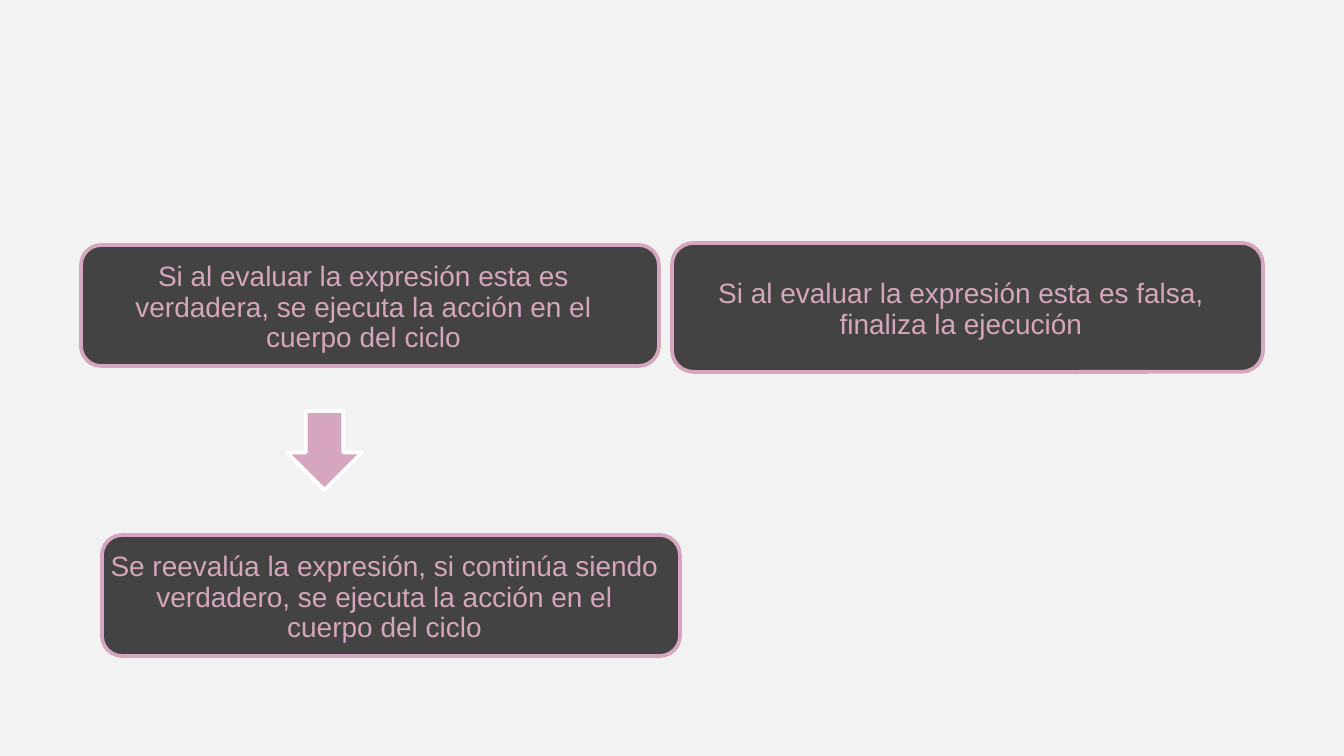
import dataclasses

import pptx
import pptx.dml.color
import pptx.enum.shapes
import pptx.enum.text
import pptx.util

PX = 914400 / 134.4
BACKGROUND, DARK, PINK, WHITE = "F2F2F2", "434343", "D5A6BD", "FFFFFF"
INSET = 8
SHAPES = pptx.enum.shapes.MSO_SHAPE


@dataclasses.dataclass(frozen=True)
class Step:
    x: int
    y: int
    w: int
    h: int
    text: str


STEPS = [
    Step(672, 243, 591, 129,
         "Si al evaluar la expresión esta es falsa, finaliza la ejecución"),
    Step(81, 245, 578, 121,
         "Si al evaluar la expresión esta es verdadera, "
         "se ejecuta la acción en el cuerpo del ciclo"),
    Step(102, 535, 578, 121,
         "Se reevalúa la expresión, si continúa siendo verdadero, "
         "se ejecuta la acción en el cuerpo del ciclo"),
]


def px(n: int) -> int:
    return round(n * PX)


def rgb(color: str) -> pptx.dml.color.RGBColor:
    return pptx.dml.color.RGBColor.from_string(color)


def set_all(target, values: dict) -> None:
    for name, value in values.items():
        setattr(target, name, value)


def add_outlined(shapes, kind, x: int, y: int, w: int, h: int, fill: str, line: str):
    sp = shapes.add_shape(kind, px(x), px(y), px(w), px(h))
    sp.shadow.inherit = False
    sp.fill.solid()
    sp.fill.fore_color.rgb = rgb(fill)
    sp.line.color.rgb = rgb(line)
    sp.line.width = pptx.util.Pt(2)
    return sp


def add_step(shapes, step: Step) -> None:
    """Group a rounded box with its text, set slightly inside the box."""
    group = shapes.add_group_shape().shapes
    add_outlined(group, SHAPES.ROUNDED_RECTANGLE,
                 step.x, step.y, step.w, step.h, DARK, PINK)
    tf = group.add_textbox(px(step.x), px(step.y + 8),
                           px(step.w - 13), px(step.h - 11)).text_frame
    set_all(tf, {
        "word_wrap": True,
        "vertical_anchor": pptx.enum.text.MSO_ANCHOR.MIDDLE,
        "margin_left": px(INSET),
        "margin_right": px(INSET),
        "margin_top": px(INSET),
        "margin_bottom": px(INSET),
    })
    p = tf.paragraphs[0]
    set_all(p, {"alignment": pptx.enum.text.PP_ALIGN.CENTER, "line_spacing": 0.9})
    r = p.add_run()
    r.text = step.text
    set_all(r.font, {"name": "Arial", "size": pptx.util.Pt(15)})
    r.font.color.rgb = rgb(PINK)


def main() -> None:
    prs = pptx.Presentation()
    set_all(prs, {"slide_width": px(1344), "slide_height": px(756)})
    s = prs.slides.add_slide(prs.slide_layouts[6])
    s.background.fill.solid()
    s.background.fill.fore_color.rgb = rgb(BACKGROUND)
    for step in STEPS:
        add_step(s.shapes, step)
    add_outlined(s.shapes, SHAPES.DOWN_ARROW, 287, 411, 75, 79, PINK, WHITE)
    prs.save("out.pptx")


if __name__ == "__main__":
    main()
